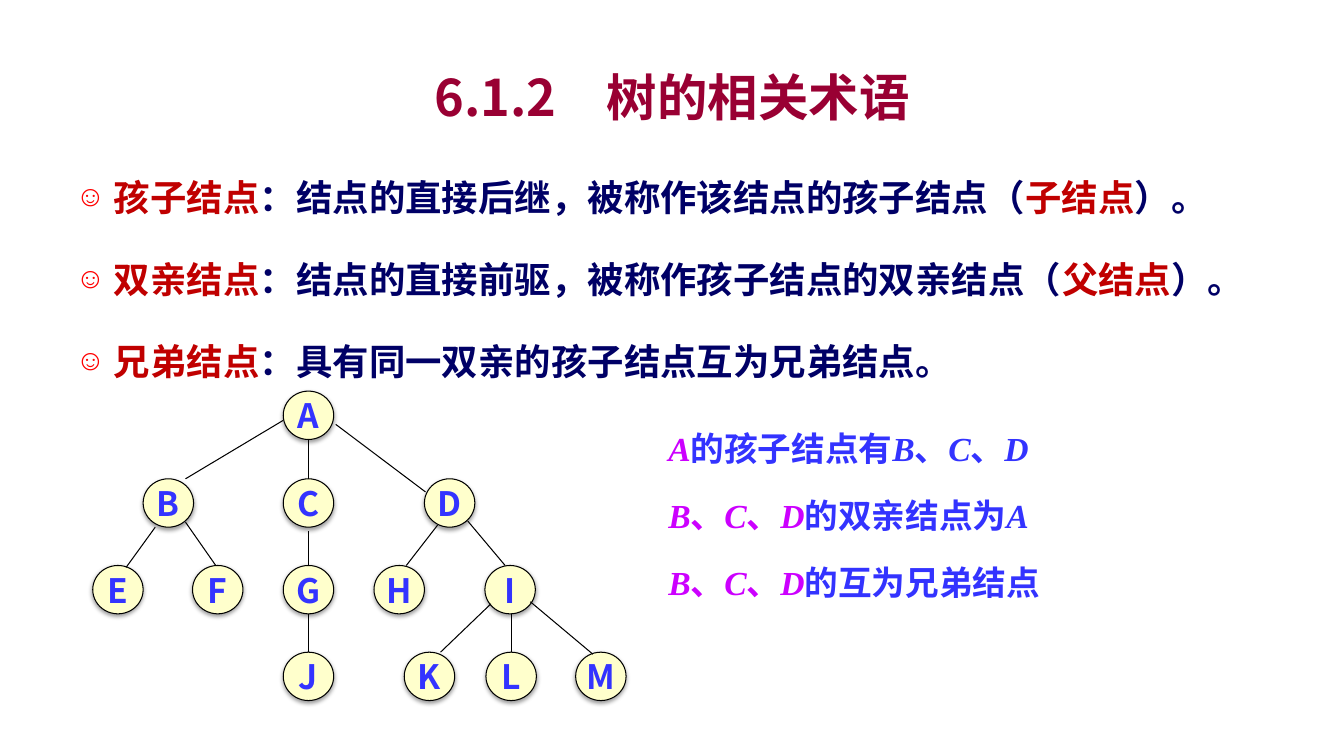
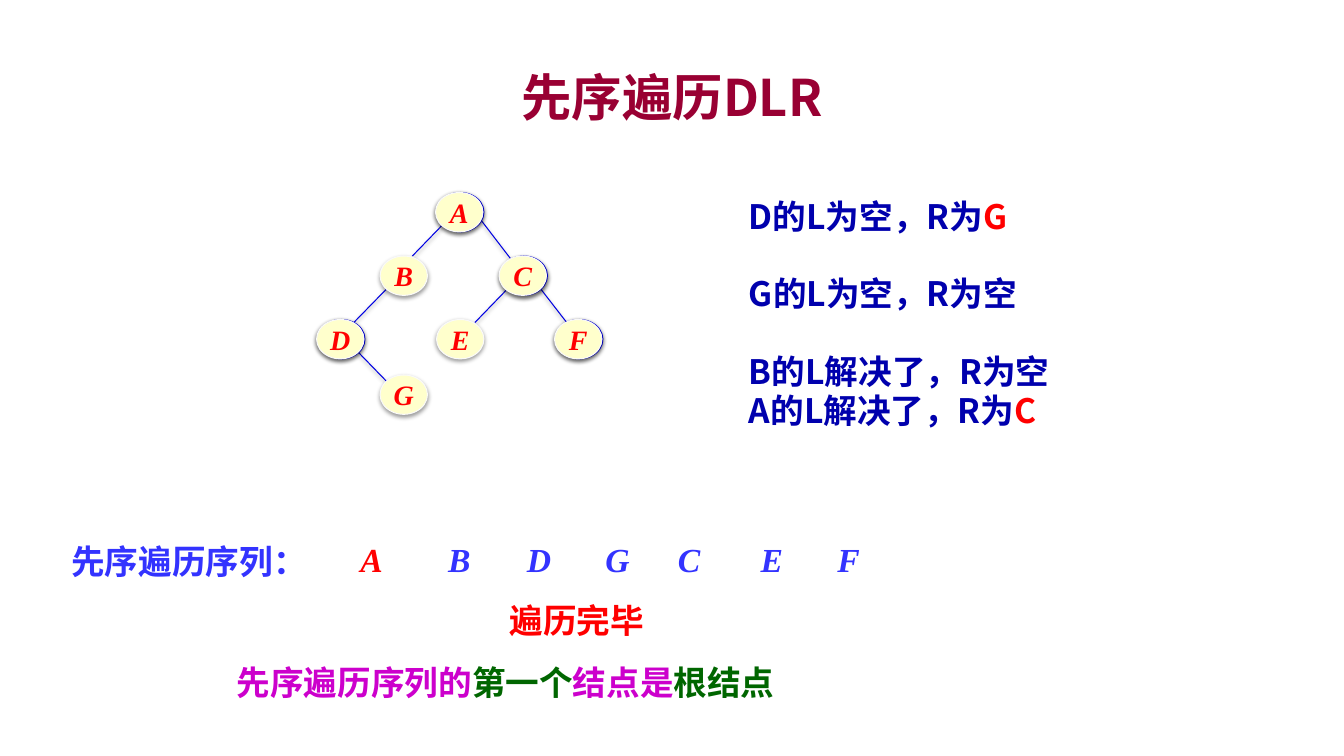
from lxml.etree import SubElement
from pptx import Presentation
from pptx.dml.color import RGBColor
from pptx.enum.shapes import MSO_CONNECTOR, MSO_SHAPE
from pptx.enum.text import MSO_ANCHOR, MSO_AUTO_SIZE, PP_ALIGN
from pptx.oxml import parse_xml
from pptx.oxml.ns import nsdecls, qn
from pptx.util import Inches, Pt

COLORS = {
    "title": "990033", "term": "C00000", "navy": "000066", "red": "FF0000",
    "blue": "3333FF", "violet": "CC00FF", "magenta": "CC00CC", "green": "006600",
    "note": "0000AD", "edge": "0000E2", "black": "000000", "rim": "F9F9F9",
    "node": "FFFFCC", "under": "C8C8FF",
}
SANS, SERIF = "Noto Sans CJK SC", "Times New Roman"


def color(name):
    return RGBColor.from_string(COLORS[name])


def add_text(para, text, tint="blue", size=24, font=SANS, italic=False):
    span = para.add_run()
    span.text = text
    span.font.size = Pt(size)
    span.font.bold = True
    span.font.italic = italic
    span.font.color.rgb = color(tint)
    span.font.name = font
    SubElement(span._r.get_or_add_rPr(), qn("a:ea")).set("typeface", SANS)


def letters(names, tint):
    spans = []
    for index, name in enumerate(names):
        if index:
            spans.append(("、", dict(tint=tint, font=SERIF)))
        spans.append((name, dict(tint=tint, font=SERIF, italic=True)))
    return spans


def set_effects(item, shadow):
    effects = item._element.spPr.find(qn("a:effectLst"))
    if effects is None:
        effects = SubElement(item._element.spPr, qn("a:effectLst"))
    if shadow:
        effects.append(parse_xml(
            f'<a:outerShdw {nsdecls("a")} blurRad="{Pt(3.1)}" dist="{Pt(1.6)}" '
            'dir="5400000" rotWithShape="0"><a:srgbClr val="000000">'
            '<a:alpha val="38000"/></a:srgbClr></a:outerShdw>'))


class Lecture:
    def __init__(self):
        self.deck = Presentation()
        self.deck.slide_width = Inches(13.33)
        self.deck.slide_height = Inches(7.5)
        self.page = None

    def add_page(self, title, layout):
        self.page = self.deck.slides.add_slide(self.deck.slide_layouts[layout])
        frame = self.place(self.page.shapes.title, 1, 0.58, 11.33, 0.75)
        frame.vertical_anchor = MSO_ANCHOR.MIDDLE
        para = frame.paragraphs[0]
        para.alignment = PP_ALIGN.CENTER
        add_text(para, title, tint="title", size=36)

    def place(self, holder, left, top, width, height):
        holder.left, holder.top = Inches(left), Inches(top)
        holder.width, holder.height = Inches(width), Inches(height)
        frame = holder.text_frame
        frame.auto_size = MSO_AUTO_SIZE.NONE
        frame.word_wrap = True
        return frame

    def bullets(self, items):
        frame = self.place(self.page.placeholders[1], 0.65, 1.44, 12.01, 2.31)
        for index, spans in enumerate(items):
            para = frame.add_paragraph() if index else frame.paragraphs[0]
            props = para._p.get_or_add_pPr()
            props.set("marL", str(Inches(0.38)))
            props.set("indent", str(-Inches(0.38)))
            tint = SubElement(props, qn("a:buClr"))
            SubElement(tint, qn("a:srgbClr")).set("val", COLORS["red"])
            SubElement(props, qn("a:buSzPct")).set("val", "80000")
            SubElement(props, qn("a:buChar")).set("char", "☺")
            para.line_spacing = Pt(48.6)
            para.space_before = Pt(5 if index else 0)
            para.space_after = Pt(5)
            for text, tint_name in spans:
                add_text(para, text, tint=tint_name, size=26)

    def label(self, left, top, width, *lines, height=0.5, center=False, leading=28):
        box = self.page.shapes.add_textbox(
            Inches(left), Inches(top), Inches(width), Inches(height))
        frame = box.text_frame
        frame.word_wrap = True
        if leading:
            frame.margin_top = Inches(0.09)
        for index, spans in enumerate(lines):
            para = frame.add_paragraph() if index else frame.paragraphs[0]
            para.alignment = PP_ALIGN.CENTER if center else PP_ALIGN.LEFT
            if leading:
                para.line_spacing = Pt(leading)
            for text, style in spans:
                add_text(para, text, **style)

    def node(self, left, top, width, height, name="", fill="node", line="black", **style):
        oval = self.page.shapes.add_shape(
            MSO_SHAPE.OVAL, Inches(left), Inches(top), Inches(width), Inches(height))
        oval.shadow.inherit = False
        oval.fill.solid()
        oval.fill.fore_color.rgb = color(fill)
        oval.line.color.rgb = color(line)
        oval.line.width = Pt(0.75)
        set_effects(oval, True)
        if name:
            frame = oval.text_frame
            frame.word_wrap = False
            frame.vertical_anchor = MSO_ANCHOR.MIDDLE
            frame.margin_left = frame.margin_right = 0
            frame.margin_top = frame.margin_bottom = 0
            para = frame.paragraphs[0]
            para.alignment = PP_ALIGN.CENTER
            add_text(para, name, **style)
        return oval

    def edge(self, x1, y1, x2, y2, tint="black", shadow=False):
        line = self.page.shapes.add_connector(
            MSO_CONNECTOR.STRAIGHT, Inches(x1), Inches(y1), Inches(x2), Inches(y2))
        line.line.color.rgb = color(tint)
        line.line.width = Pt(0.75)
        set_effects(line, shadow)
        return line


def terms_page(lecture):
    lecture.add_page("6.1.2　树的相关术语", 1)
    lecture.bullets([
        [("孩子结点", "term"), ("：结点的直接后继，被称作该结点的孩子结点（", "navy"),
         ("子结点", "term"), ("）。", "navy")],
        [("双亲结点", "term"), ("：结点的直接前驱，被称作孩子结点的双亲结点（", "navy"),
         ("父结点", "term"), ("）。", "navy")],
        [("兄弟结点", "term"), ("：具有同一双亲的孩子结点互为兄弟结点。", "navy")],
    ])
    plain = dict(tint="blue", font=SERIF)
    facts = [
        letters("A", "violet") + [("的孩子结点有", plain)] + letters("BCD", "blue"),
        letters("BCD", "violet") + [("的双亲结点为", plain)] + letters("A", "blue"),
        letters("BCD", "violet") + [("的互为兄弟结点", plain)],
    ]
    for top, spans in zip((4.17, 4.83, 5.5), facts):
        lecture.label(6.53, top, 4.97, spans)

    levels = {
        3.88: {"A": 2.81},
        4.75: {"B": 1.42, "C": 2.81, "D": 4.21},
        5.61: {"E": 0.92, "F": 1.91, "G": 2.81, "H": 3.71, "I": 4.81},
        6.47: {"J": 2.81, "K": 4.01, "L": 4.82, "M": 5.71},
    }
    nodes = {name: lecture.node(left, top, 0.5, 0.48, name)
             for top, row in levels.items() for name, left in row.items()}
    edges = {
        "B": (2.81, 4.17, 1.84, 4.75), "C": (3.06, 4.36, 3.06, 4.75),
        "D": (3.33, 4.21, 4.22, 4.88), "E": (1.54, 5.23, 1.25, 5.63),
        "F": (1.84, 5.18, 2.14, 5.61), "G": (3.06, 5.27, 3.06, 5.61),
        "H": (4.34, 5.21, 4.03, 5.61), "I": (4.64, 5.17, 5.01, 5.61),
        "J": (3.06, 6.09, 3.06, 6.47), "K": (4.87, 5.99, 4.37, 6.47),
        "L": (5.07, 6.09, 5.07, 6.47), "M": (5.26, 5.97, 5.88, 6.49),
    }
    for child, ends in edges.items():
        line = lecture.edge(*ends)
        if ends[0] == ends[2]:
            line.end_connect(nodes[child], 0)


def preorder_page(lecture):
    lecture.add_page("先序遍历DLR", 5)
    for ends in [
        (3.54, 3.48, 3.85, 3.8), (4.4, 2.22, 4.09, 2.54), (4.76, 2.17, 5.09, 2.6),
        (3.85, 2.85, 3.46, 3.25), (5.02, 2.88, 4.71, 3.2), (5.35, 2.85, 5.66, 3.25),
    ]:
        lecture.edge(*ends, tint="edge", shadow=True)
    visits = {
        "A": (4.32, 1.91, 3.29), "B": (3.77, 2.54, 4.16), "D": (3.14, 3.17, 4.95),
        "G": (3.77, 3.72, 5.73), "C": (4.95, 2.54, 6.44), "E": (4.33, 3.17, 7.26),
        "F": (5.5, 3.17, 8.02),
    }
    for name, (left, top, order_left) in visits.items():
        if name in "ACDF":
            lecture.node(left + 0.01, top, 0.47, 0.39, fill="under", line="edge")
        lecture.node(left, top, 0.47, 0.39, name, line="rim",
                     tint="red", size=20, font=SERIF, italic=True)
        tint = "red" if name == "A" else "blue"
        lecture.label(order_left, 5.3, 0.79, letters(name, tint), center=True, leading=None)

    note, red = dict(tint="note"), dict(tint="red")
    magenta, green = dict(tint="magenta"), dict(tint="green")
    lecture.label(0.61, 5.29, 2.84, [("先序遍历序列：", {})])
    lecture.label(4.38, 5.87, 2.68, [("遍历完毕", red)], center=True)
    lecture.label(2.25, 6.49, 6.56, [("先序遍历序列的", magenta), ("第一个", green),
                                     ("结点是", magenta), ("根结点", green)])
    lecture.label(7.33, 1.86, 5, [("D的L为空，R为", note), ("G", red)])
    lecture.label(7.33, 2.63, 5, [("G的L为空，R为空", note)])
    lecture.label(7.33, 3.4, 5, [("B的L解决了，R为空", note)],
                  [("A的L解决了，R为", note), ("C", red)], height=0.91)


def main():
    lecture = Lecture()
    terms_page(lecture)
    preorder_page(lecture)
    lecture.deck.save("out.pptx")


if __name__ == "__main__":
    main()
